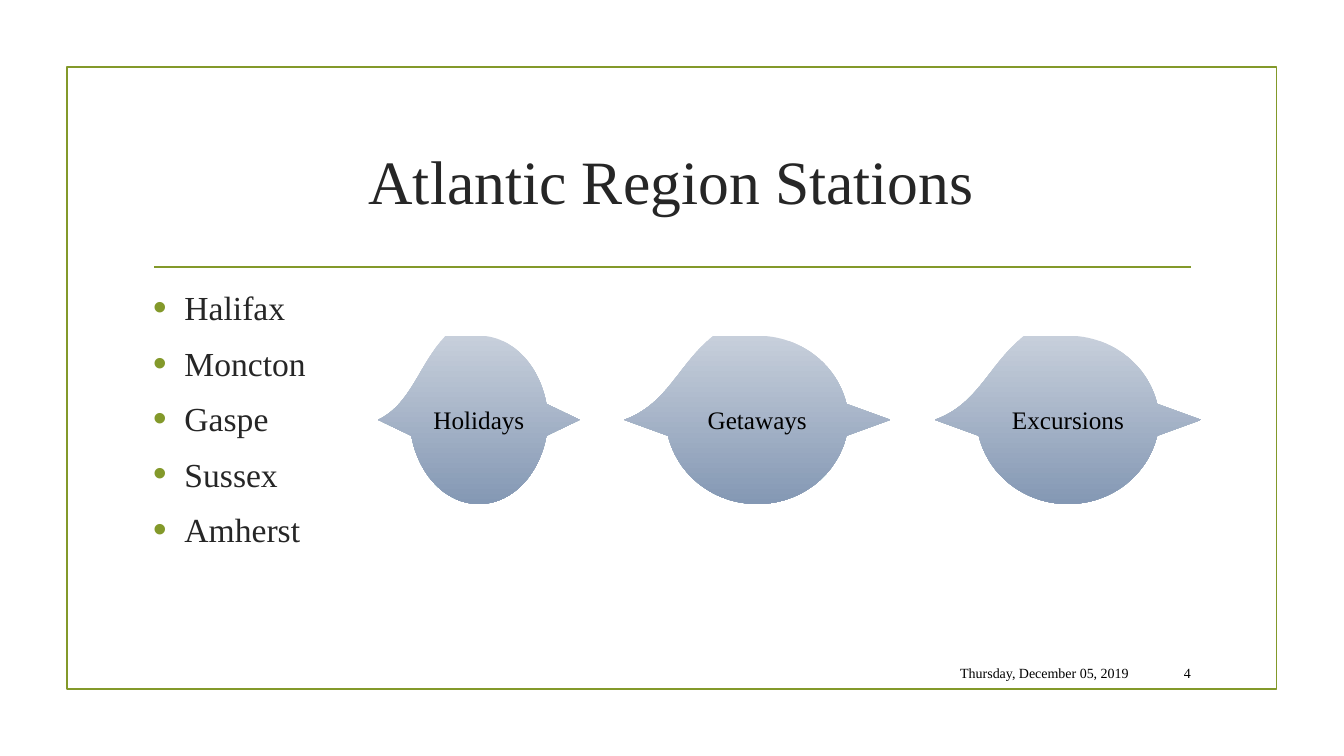
"""Build the Atlantic Region Stations slide."""
from lxml.etree import SubElement
from pptx import Presentation
from pptx.dml.color import RGBColor
from pptx.enum.shapes import MSO_CONNECTOR, MSO_SHAPE
from pptx.enum.text import MSO_ANCHOR, PP_ALIGN
from pptx.oxml.ns import qn
from pptx.util import Cm, Pt

COLORS = {
    "accent": "83992A",
    "heading": "262626",
    "label": "000000",
    "badge_top": "C7CFDB",
    "badge_bottom": "8498B4",
}


def add_words(paragraph, words, size, color, alignment):
    paragraph.alignment = alignment
    run = paragraph.add_run()
    run.text = words
    run.font.name = "Times New Roman"
    run.font.size = Pt(size)
    run.font.color.rgb = RGBColor.from_string(COLORS[color])


def add_text_box(left, top, width, height, anchor):
    text_box = slide.shapes.add_textbox(Cm(left), Cm(top), Cm(width), Cm(height))
    text_box.text_frame.word_wrap = True
    text_box.text_frame.vertical_anchor = anchor
    return text_box.text_frame


presentation = Presentation()
presentation.slide_width = Cm(33.87)
presentation.slide_height = Cm(19.05)
slide = presentation.slides.add_slide(presentation.slide_layouts[6])
accent = RGBColor.from_string(COLORS["accent"])

frame = slide.shapes.add_shape(MSO_SHAPE.RECTANGLE, Cm(1.69), Cm(1.69), Cm(30.48), Cm(15.67))
frame.shadow.inherit = False
frame.fill.background()
rule = slide.shapes.add_connector(MSO_CONNECTOR.STRAIGHT, Cm(3.89), Cm(6.73), Cm(30.01), Cm(6.73))
SubElement(rule._element.spPr, qn("a:effectLst"))
for outlined in (frame, rule):
    outlined.line.color.rgb = accent
    outlined.line.width = Pt(1.25)

title = add_text_box(3.59, 2.72, 26.67, 3.63, MSO_ANCHOR.MIDDLE)
add_words(title.paragraphs[0], "Atlantic Region Stations", 44, "heading", PP_ALIGN.CENTER)

stations = add_text_box(3.61, 7.11, 4.88, 9.22, MSO_ANCHOR.TOP)
for index, station in enumerate(["Halifax", "Moncton", "Gaspe", "Sussex", "Amherst"]):
    paragraph = stations.add_paragraph() if index else stations.paragraphs[0]
    paragraph.space_before = Pt(4.8)
    paragraph.space_after = Pt(6)
    properties = paragraph._p.get_or_add_pPr()
    properties.set("marL", str(Cm(0.79)))
    properties.set("indent", str(-Cm(0.79)))
    bullet_color = SubElement(properties, qn("a:buClr"))
    SubElement(bullet_color, qn("a:srgbClr"), val=COLORS["accent"])
    SubElement(properties, qn("a:buSzPct"), val="115000")
    SubElement(properties, qn("a:buFont"), typeface="Arial")
    SubElement(properties, qn("a:buChar"), char="•")
    add_words(paragraph, station, 24, "heading", PP_ALIGN.LEFT)

middle, half_height = 10.58, 2.12
quarter = [(0, -1), (0.33, -1), (0.6, -0.65), (0.67, -0.19)]
upper_right = quarter + [(1, 0)]
lower_right = [(x, -y) for x, y in reversed(quarter)]
lower_left = [(-x, -y) for x, y in upper_right[1:]]
upper_left = [(-x, y) for x, y in reversed(quarter)]
badge_outline = upper_right + lower_right + lower_left + upper_left
curve_starts = (0, 5, 8, 12)
badges = [("Holidays", 9.53, 5.08), ("Excursions", 23.56, 6.71), ("Getaways", 15.73, 6.71)]
for label, left, width in badges:
    center = left + width / 2
    outline = [(Cm(center + x * width / 2), Cm(middle + y * half_height)) for x, y in badge_outline]
    builder = slide.shapes.build_freeform(*outline[0])
    builder.add_line_segments(outline[1:], close=True)
    badge = builder.convert_to_shape()
    segments = list(badge._element.iter(qn("a:lnTo")))
    for start in curve_starts:
        first, *others = segments[start:start + 3]
        first.tag = qn("a:cubicBezTo")
        for segment in others:
            first.append(segment[0])
            segment.getparent().remove(segment)
    badge.shadow.inherit = False
    badge.line.fill.background()
    badge.fill.gradient()
    badge.fill.gradient_angle = 270
    for stop, color in zip(badge.fill.gradient_stops, ("badge_top", "badge_bottom")):
        stop.color.rgb = RGBColor.from_string(COLORS[color])
    badge.text_frame.vertical_anchor = MSO_ANCHOR.MIDDLE
    add_words(badge.text_frame.paragraphs[0], label, 18, "label", PP_ALIGN.CENTER)

for words, left, width in (("Thursday, December 05, 2019", 23.94, 4.75), ("4", 28.76, 1.5)):
    footer = add_text_box(left, 16.57, width, 0.79, MSO_ANCHOR.MIDDLE)
    footer.margin_left = 0
    add_words(footer.paragraphs[0], words, 10, "label", PP_ALIGN.RIGHT)

presentation.save("out.pptx")
